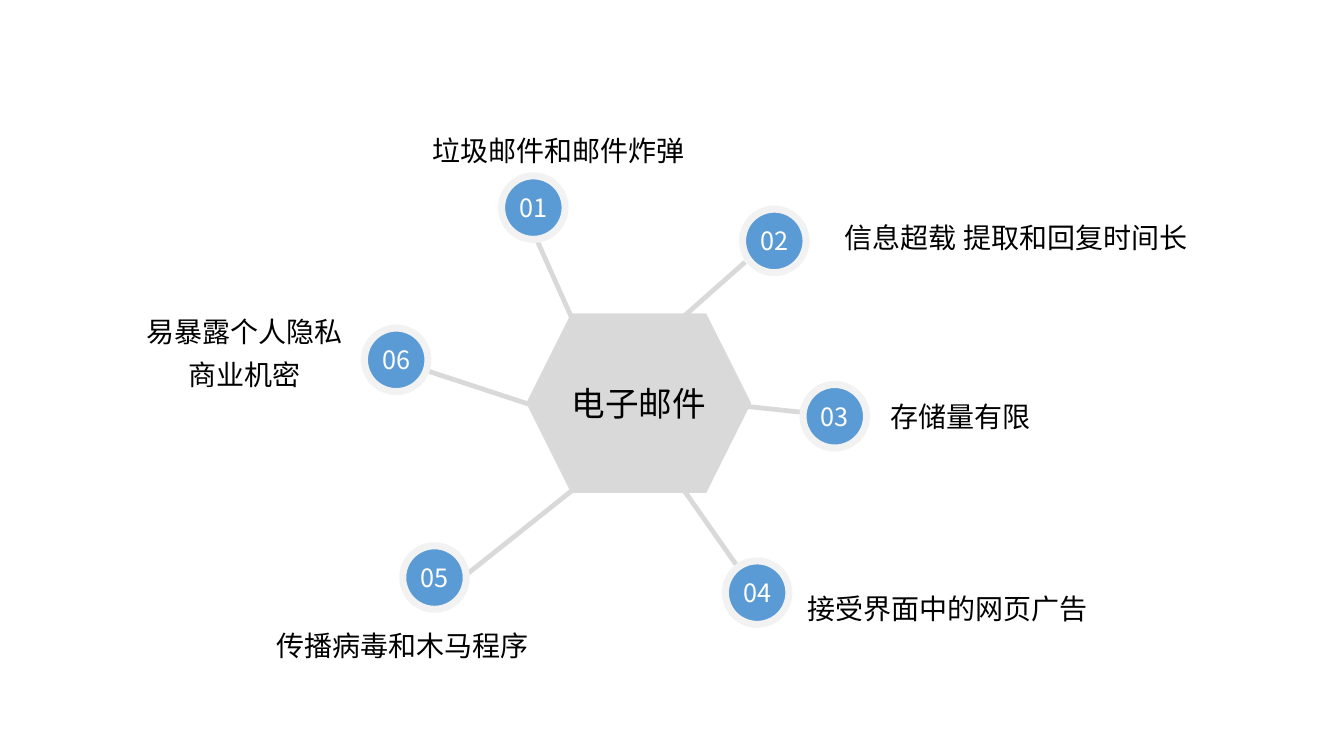
from pptx import Presentation
from pptx.dml.color import RGBColor
from pptx.enum.shapes import MSO_CONNECTOR, MSO_SHAPE
from pptx.enum.text import MSO_ANCHOR, PP_ALIGN
from pptx.oxml.ns import qn
from pptx.util import Inches, Pt
from lxml.etree import SubElement

BLACK = RGBColor(0x00, 0x00, 0x00)
WHITE = RGBColor(0xFF, 0xFF, 0xFF)
GREY = RGBColor(0xD9, 0xD9, 0xD9)
PALE_GREY = RGBColor(0xF2, 0xF2, 0xF2)
BLUE = RGBColor(0x5B, 0x9B, 0xD5)
FONT = "Noto Sans CJK SC"
BADGE_SIZE = 0.63

# number, badge centre, spoke from hub to badge, label box, label lines
PROBLEMS = [
    ("01", (5.29, 2.06), (5.70, 3.22, 5.32, 2.37),
     (3.96, 1.07, 3.16, 0.74), ["垃圾邮件和邮件炸弹"]),
    ("02", (7.68, 2.39), (6.69, 3.22, 7.39, 2.60),
     (7.95, 1.92, 4.26, 0.77), ["信息超载 提取和回复时间长"]),
    ("03", (8.28, 4.13), (7.01, 3.99, 7.95, 4.09),
     (8.40, 3.69, 2.26, 0.77), ["存储量有限"]),
    ("04", (7.51, 5.88), (6.76, 4.83, 7.30, 5.60),
     (7.48, 5.60, 3.84, 0.77), ["接受界面中的网页广告"]),
    ("05", (4.31, 5.73), (5.77, 4.79, 4.64, 5.69),
     (2.27, 5.98, 3.45, 0.74), ["传播病毒和木马程序"]),
    ("06", (3.93, 3.57), (5.58, 4.12, 4.21, 3.67),
     (0.63, 3.09, 3.59, 0.72), ["易暴露个人隐私", "商业机密"]),
]


def write_lines(frame, lines, size, color, spacing=None):
    """Fill a text frame with centred lines, one paragraph each."""
    frame.vertical_anchor = MSO_ANCHOR.MIDDLE
    for index, line in enumerate(lines):
        paragraph = frame.add_paragraph() if index else frame.paragraphs[0]
        paragraph.alignment = PP_ALIGN.CENTER
        if spacing:
            paragraph.line_spacing = spacing
        run = paragraph.add_run()
        run.text = line
        run.font.size = Pt(size)
        run.font.color.rgb = color
        run.font.name = FONT
        SubElement(run.font._element, qn("a:ea"), typeface=FONT)


def add_spoke(slide, ends):
    spoke = slide.shapes.add_connector(
        MSO_CONNECTOR.STRAIGHT, *map(Inches, ends))
    spoke.line.color.rgb = GREY
    spoke.line.width = Pt(3.4)
    SubElement(spoke._element.spPr, qn("a:effectLst"))


def add_hub(slide, text):
    hub = slide.shapes.add_shape(
        MSO_SHAPE.HEXAGON, *map(Inches, (5.22, 3.11, 2.23, 1.78)))
    hub.shadow.inherit = False
    hub.fill.solid()
    hub.fill.fore_color.rgb = GREY
    hub.line.fill.background()
    write_lines(hub.text_frame, [text], 24, BLACK)


def add_badge(slide, number, center):
    left, top = (Inches(c - BADGE_SIZE / 2) for c in center)
    badge = slide.shapes.add_shape(
        MSO_SHAPE.OVAL, left, top, Inches(BADGE_SIZE), Inches(BADGE_SIZE))
    badge.shadow.inherit = False
    badge.fill.solid()
    badge.fill.fore_color.rgb = BLUE
    badge.line.color.rgb = PALE_GREY
    badge.line.width = Pt(5)
    frame = badge.text_frame
    frame.margin_left = frame.margin_right = 0
    frame.margin_top = frame.margin_bottom = 0
    frame.word_wrap = False
    write_lines(frame, [number], 18, WHITE)


def add_label(slide, box, lines):
    label = slide.shapes.add_textbox(*map(Inches, box))
    label.text_frame.word_wrap = True
    write_lines(label.text_frame, lines, 20, BLACK, spacing=1.3)


def main():
    deck = Presentation()
    deck.slide_width = Inches(13.33)
    deck.slide_height = Inches(7.5)
    slide = deck.slides.add_slide(deck.slide_layouts.get_by_name("Blank"))

    for _, _, spoke, _, _ in PROBLEMS:
        add_spoke(slide, spoke)
    add_hub(slide, "电子邮件")
    for number, center, _, box, lines in PROBLEMS:
        add_badge(slide, number, center)
        add_label(slide, box, lines)

    deck.save("out.pptx")


if __name__ == "__main__":
    main()
